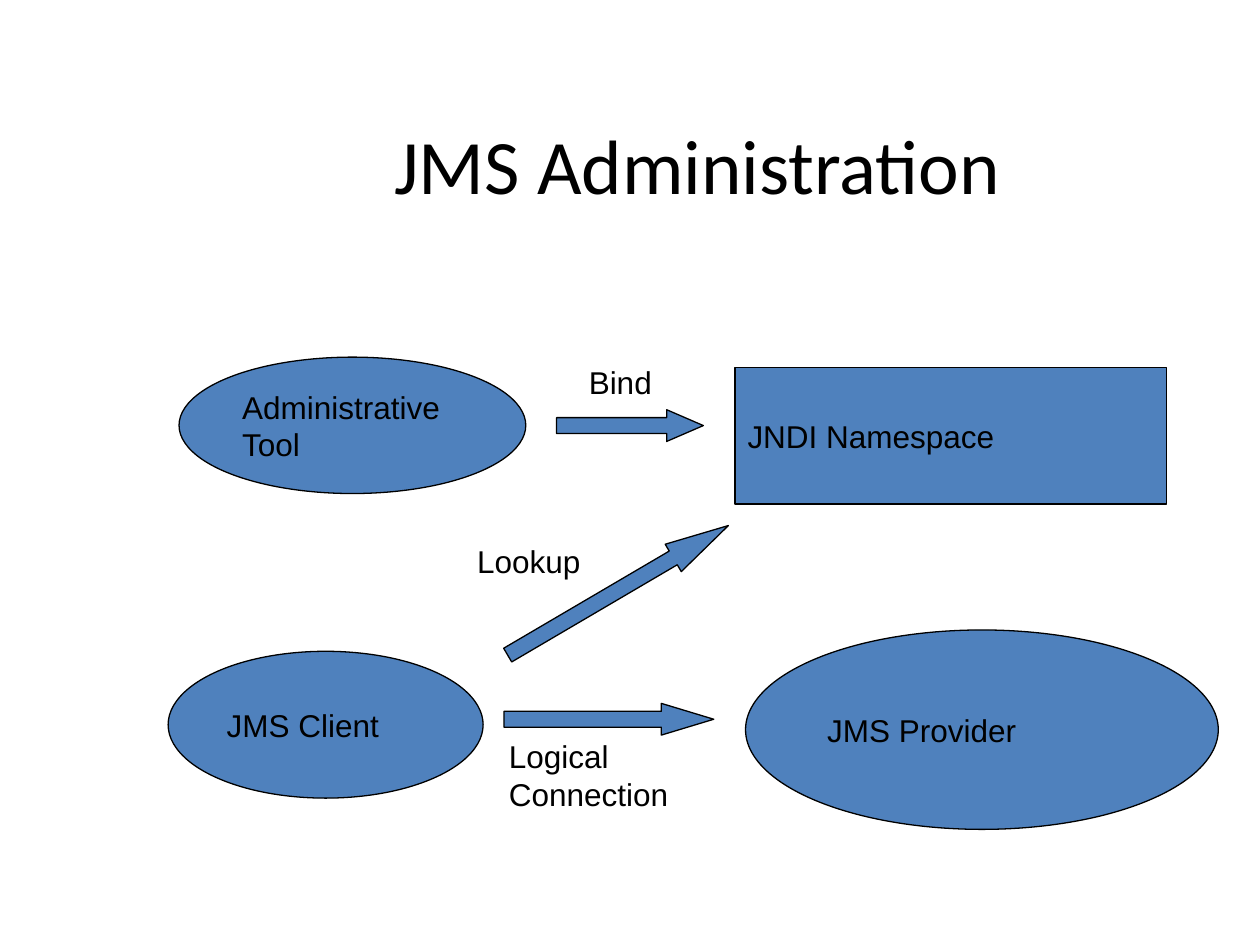
import pptx
import pptx.util
import pptx.dml.color
import pptx.enum.shapes
import pptx.enum.text

Cm, Pt = pptx.util.Cm, pptx.util.Pt
KIND = pptx.enum.shapes.MSO_SHAPE
ALIGN = pptx.enum.text.PP_ALIGN
MIDDLE = pptx.enum.text.MSO_ANCHOR.MIDDLE
FIT = pptx.enum.text.MSO_AUTO_SIZE.SHAPE_TO_FIT_TEXT
COLORS = {"fill": "4F81BD", "ink": "000000"}

# Offsets from the diagram corner and sizes, in centimetres.
NODES = [
    (KIND.OVAL, ["Administrative", "Tool"], (0.22, 0, 6.99, 2.75)),
    (KIND.RECTANGLE, ["JNDI Namespace"], (11.43, 0.21, 8.69, 2.75)),
    (KIND.OVAL, ["JMS Client"], (0, 5.93, 6.35, 2.96)),
    (KIND.OVAL, ["JMS Provider"], (11.64, 5.5, 9.53, 4.02)),
]
ARROWS = [
    ((7.83, 1.06, 2.96, 0.64), 0),
    ((6.77, 6.98, 4.23, 0.64), 0),
    ((6.49, 4.38, 5.16, 0.64), 329.6),
]
LABELS = [
    (["Bind"], (8.23, 0, 1.8, 1.02)),
    (["Lookup"], (5.98, 3.6, 2.64, 1.02)),
    (["Logical", "Connection"], (6.62, 7.53, 3.85, 1.78)),
]


def color(name):
    """Return the named colour."""
    return pptx.dml.color.RGBColor.from_string(COLORS[name])


def write(frame, lines, size=18, font="Arial", align=ALIGN.LEFT):
    """Write each line as a paragraph with one run."""
    for i, line in enumerate(lines):
        para = frame.paragraphs[0] if i == 0 else frame.add_paragraph()
        para.alignment = align
        run = para.add_run()
        run.text = line
        run.font.size = Pt(size)
        run.font.name = font
        run.font.color.rgb = color("ink")


def place(box, left, top):
    """Shift a box by the region corner and return its lengths."""
    x, y, width, height = box
    return Cm(left + x), Cm(top + y), Cm(width), Cm(height)


def solid(slide, kind, box):
    """Add a filled, outlined shape."""
    shape = slide.shapes.add_shape(kind, *box)
    shape.shadow.inherit = False
    shape.fill.solid()
    shape.fill.fore_color.rgb = color("fill")
    shape.line.color.rgb = color("ink")
    shape.line.width = Pt(0.74)
    return shape


def head(slide, text, box):
    """Fill the title placeholder."""
    title = slide.shapes.title
    title.left, title.top, title.width, title.height = place(box, 0, 0)
    title.text_frame.vertical_anchor = MIDDLE
    write(title.text_frame, [text], 44, "Calibri", ALIGN.CENTER)


def flow(slide, left, top):
    """Draw the nodes, arrows and labels from the given corner."""
    for kind, lines, box in NODES:
        node = solid(slide, kind, place(box, left, top))
        node.text_frame.word_wrap = True
        node.text_frame.vertical_anchor = MIDDLE
        write(node.text_frame, lines)
    for box, turn in ARROWS:
        arrow = solid(slide, KIND.RIGHT_ARROW, place(box, left, top))
        # The head takes a quarter of the length.
        arrow.adjustments[1] = box[2] / box[3] / 4
        arrow.rotation = turn
    for lines, box in LABELS:
        label = slide.shapes.add_textbox(*place(box, left, top))
        label.text_frame.word_wrap = False
        label.text_frame.auto_size = FIT
        write(label.text_frame, lines)


def main():
    """Build and save the slide."""
    deck = pptx.Presentation()
    deck.slide_width, deck.slide_height = Cm(25.4), Cm(19.05)
    slide = deck.slides.add_slide(deck.slide_layouts[5])
    head(slide, "JMS Administration", (3.81, 1.7, 20.5, 3.18))
    flow(slide, 3.39, 7.2)
    deck.save("out.pptx")


main()
